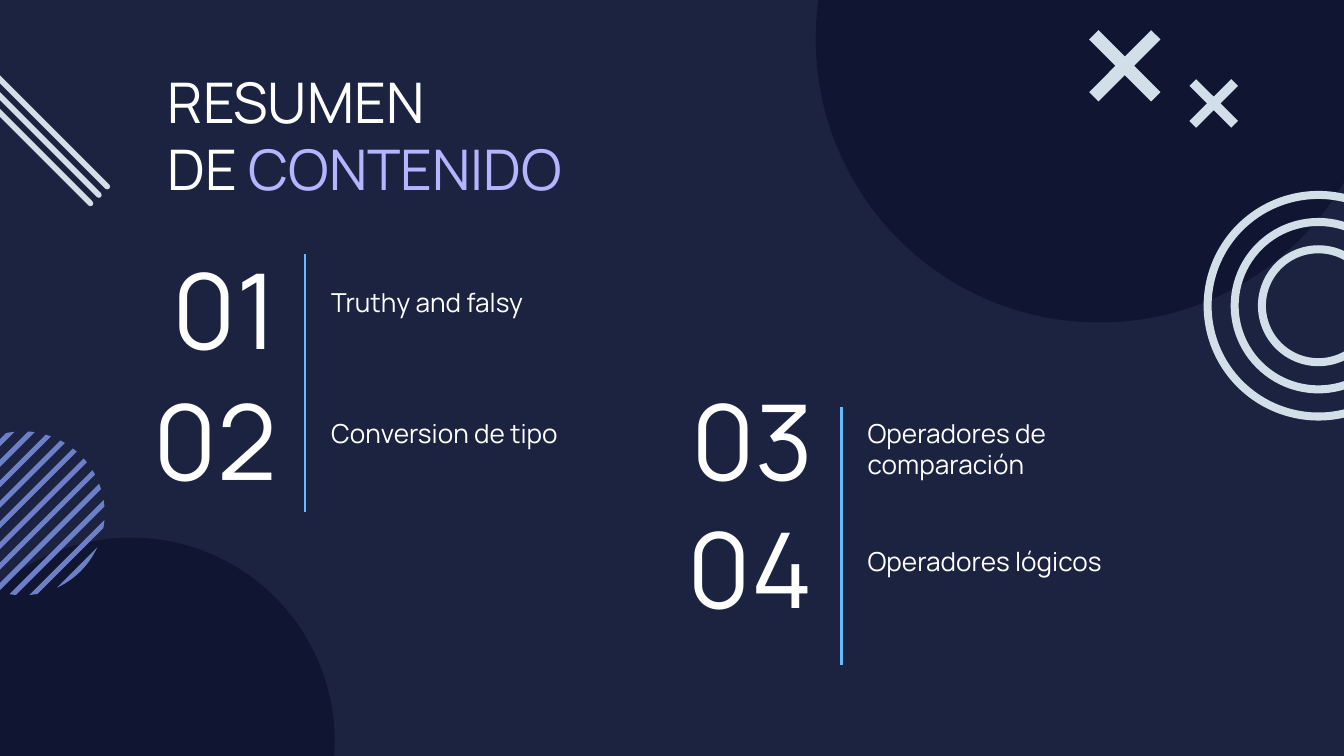
from math import acos, cos, pi, sin

from lxml.etree import SubElement
from pptx import Presentation
from pptx.dml.color import RGBColor
from pptx.enum.shapes import MSO_CONNECTOR, MSO_SHAPE
from pptx.enum.text import MSO_ANCHOR, PP_ALIGN
from pptx.oxml.ns import qn
from pptx.util import Pt

TITLE = [[("RESUMEN", "text")], [("DE ", "text"), ("CONTENIDO", "accent")]]
SECTIONS = [
    {"rule": (163.4, 136.1), "first": 155.5, "pitch": 70.2,
     "topics": [("01", "Truthy and falsy"), ("02", "Conversion de tipo")]},
    {"rule": (450.7, 218.2), "first": 225.4, "pitch": 69,
     "topics": [("03", "Operadores de comparación"), ("04", "Operadores lógicos")]},
]
DISCS = [(-38.9, 288, 218.2), (437, -131, 303.8)]
RINGS = {"center": (706.3, 163.8), "radii": (61.5, 47, 32.4), "band": 4.3}
CROSSES = [(650.2, 55.4, 13, 3.6), (602.6, 35.3, 19.1, 5)]
STROKES = {"start": (-24.5, 18), "reach": 82, "gap": 4.5, "count": 3}
HATCH = {"center": (12.2, 275), "radius": 43.9, "first": -36.7,
         "pitch": 7.79, "band": 2.7, "count": 11}
THEME = {
    "font": "Manrope",
    "colors": {"background": "1C2340", "disc": "101632", "text": "FFFFFF",
               "accent": "B3B5FF", "pale": "D2DFE9", "hatch": "6D7FC9", "rule": "67BBFF"},
    "sizes": {"title": 30, "number": 56, "topic": 14},
}


def color(name):
    return RGBColor.from_string(THEME["colors"][name])


def paint(shape, name):
    shape.shadow.inherit = False
    shape.fill.solid()
    shape.fill.fore_color.rgb = color(name)
    shape.line.fill.background()


def add_circle(slide, kind, left, top, diameter, name):
    circle = slide.shapes.add_shape(kind, Pt(left), Pt(top), Pt(diameter), Pt(diameter))
    paint(circle, name)
    return circle


def add_polygon(slide, points, name):
    corners = [(Pt(x), Pt(y)) for x, y in points]
    outline = slide.shapes.build_freeform(*corners[0])
    outline.add_line_segments(corners[1:], close=True)
    paint(outline.convert_to_shape(), name)


def add_line(slide, start, end, name, width, cap="flat"):
    line = slide.shapes.add_connector(MSO_CONNECTOR.STRAIGHT, *map(Pt, start + end))
    line.line.color.rgb = color(name)
    line.line.width = Pt(width)
    line.line._get_or_add_ln().set("cap", cap)
    SubElement(line._element.spPr, qn("a:effectLst"))


def add_text(slide, box, lines, size, align=PP_ALIGN.LEFT, anchor=MSO_ANCHOR.TOP):
    frame = slide.shapes.add_textbox(*map(Pt, box)).text_frame
    frame.word_wrap = True
    frame.vertical_anchor = anchor
    frame.margin_left = frame.margin_right = Pt(7.2)
    frame.margin_top = frame.margin_bottom = Pt(7.2)
    for index, pieces in enumerate(lines):
        paragraph = frame.paragraphs[0] if index == 0 else frame.add_paragraph()
        paragraph.alignment = align
        paragraph.font.name = THEME["font"]
        paragraph.font.size = Pt(THEME["sizes"][size])
        for words, name in pieces:
            run = paragraph.add_run()
            run.text = words
            run.font.color.rgb = color(name)


def hatch_band(near):
    center_x, center_y = HATCH["center"]
    radius = HATCH["radius"]
    far = min(near + HATCH["band"], radius)
    if near + HATCH["pitch"] > radius:
        far = radius
    near_angle, far_angle = acos(near / radius), acos(far / radius)
    sweep = [near_angle + (far_angle - near_angle) * step / 6 for step in range(7)]
    angles = sweep + [-angle for angle in reversed(sweep)]
    return [(center_x + radius * cos(pi / 4 + angle), center_y + radius * sin(pi / 4 + angle))
            for angle in angles]


def cross(center_x, center_y, half, arm):
    corners = [(arm - half, -half), (-half, arm - half), (-arm, 0)]
    points = []
    for _ in range(4):
        points += [(center_x + x, center_y + y) for x, y in corners]
        corners = [(y, -x) for x, y in corners]
    return points


def add_decoration(slide):
    for left, top, diameter in DISCS:
        add_circle(slide, MSO_SHAPE.OVAL, left, top, diameter, "disc")
    for index in range(HATCH["count"]):
        add_polygon(slide, hatch_band(HATCH["first"] + index * HATCH["pitch"]), "hatch")
    ring_x, ring_y = RINGS["center"]
    for radius in RINGS["radii"]:
        ring = add_circle(slide, MSO_SHAPE.DONUT, ring_x - radius, ring_y - radius,
                          2 * radius, "pale")
        ring.adjustments[0] = RINGS["band"] / (2 * radius)
    for index in range(STROKES["count"]):
        shift = index * STROKES["gap"]
        x, y = STROKES["start"][0] - shift, STROKES["start"][1] + shift
        add_line(slide, (x, y), (x + STROKES["reach"], y + STROKES["reach"]), "pale", 3, "rnd")
    for placing in CROSSES:
        add_polygon(slide, cross(*placing), "pale")


def add_section(slide, section):
    x, top = section["rule"]
    for index, (number, topic) in enumerate(section["topics"]):
        y = section["first"] + index * section["pitch"]
        add_text(slide, (x - 112.3, y, 104.4, 18.7), [[(number, "text")]], "number",
                 PP_ALIGN.RIGHT, MSO_ANCHOR.MIDDLE)
        add_text(slide, (x + 7, y - 9.2, 185, 31.7), [[(topic, "text")]], "topic")
    add_line(slide, (x, top), (x, top + 138.2), "rule", 1.5)


def main():
    """Build the table-of-contents slide."""
    deck = Presentation()
    deck.slide_width, deck.slide_height = Pt(720), Pt(405)
    slide = deck.slides.add_slide(deck.slide_layouts[6])
    slide.background.fill.solid()
    slide.background.fill.fore_color.rgb = color("background")
    add_decoration(slide)
    add_text(slide, (82.8, 28.8, 291.6, 70.6), TITLE, "title")
    for section in SECTIONS:
        add_section(slide, section)
    deck.save("out.pptx")


if __name__ == "__main__":
    main()
